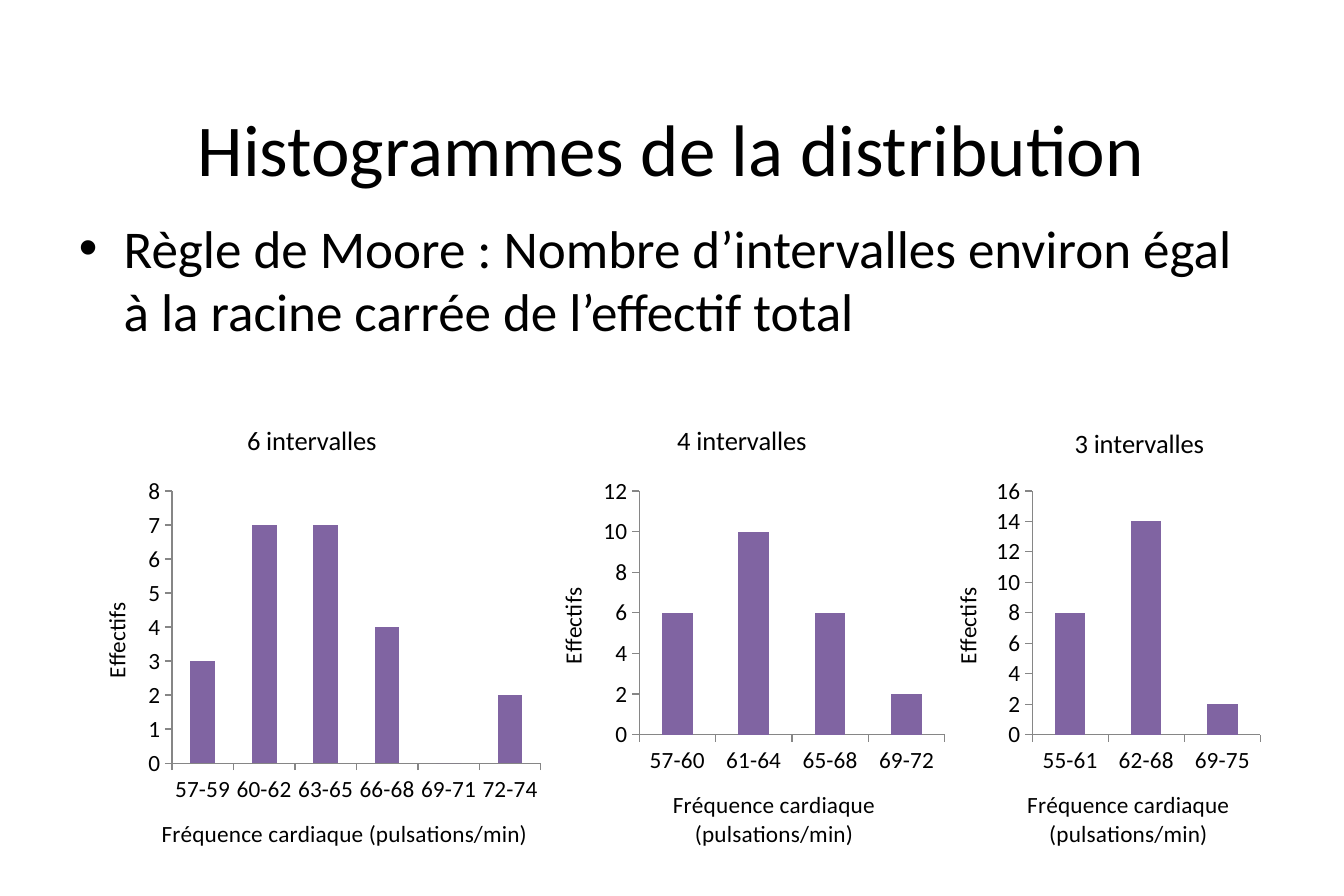
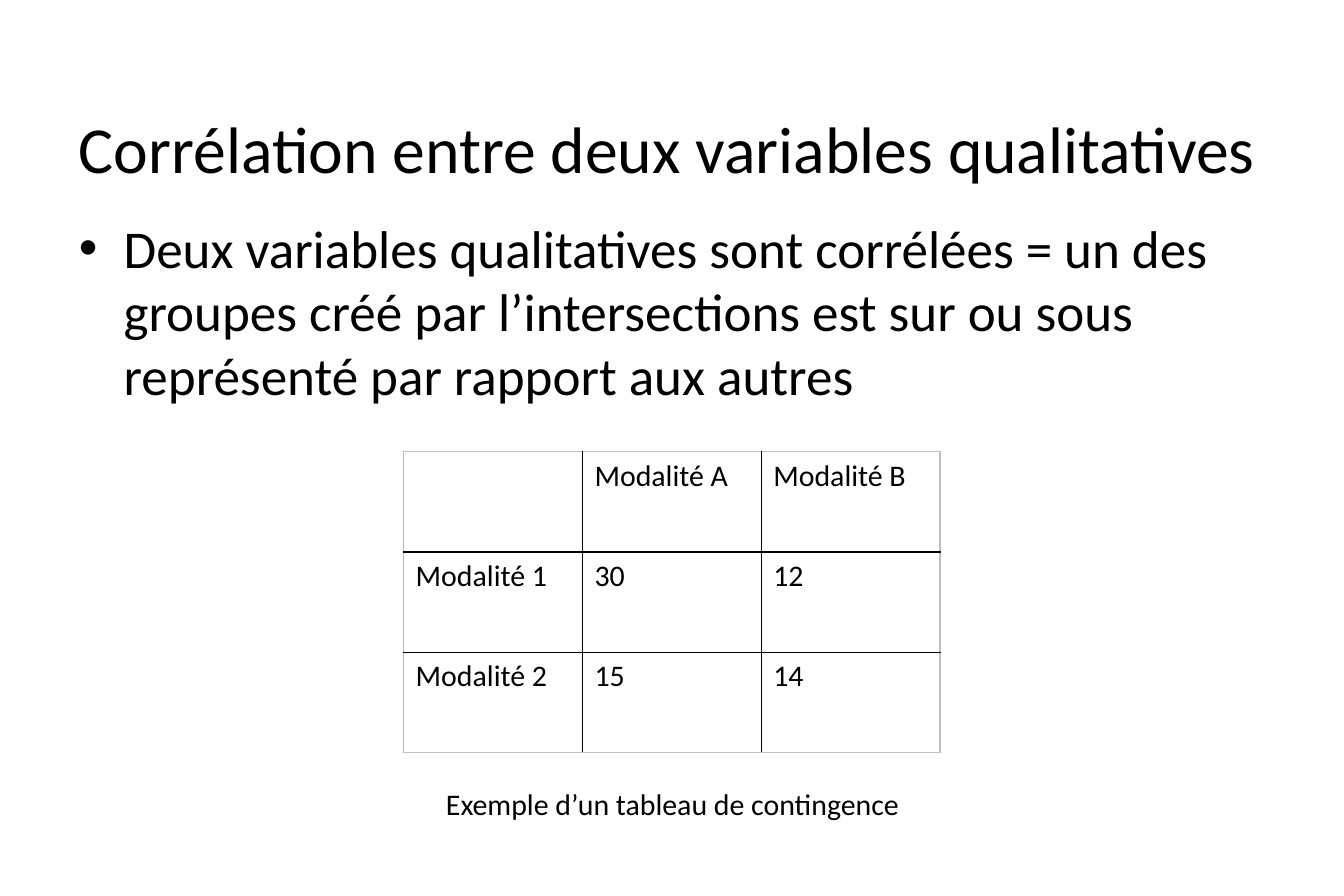
from dataclasses import dataclass

from lxml.etree import SubElement
from pptx import Presentation
from pptx.chart.data import CategoryChartData
from pptx.dml.color import RGBColor
from pptx.enum.chart import XL_CHART_TYPE, XL_TICK_MARK
from pptx.enum.text import MSO_ANCHOR, MSO_AUTO_SIZE, PP_ALIGN
from pptx.oxml import parse_xml
from pptx.oxml.ns import nsdecls, qn
from pptx.util import Inches, Pt


@dataclass(frozen=True)
class Theme:
    font: str = "Calibri"
    text: RGBColor = RGBColor(0x00, 0x00, 0x00)
    bar: RGBColor = RGBColor(0x80, 0x64, 0xA2)
    axis: RGBColor = RGBColor(0x86, 0x86, 0x86)
    grid: str = "000000"
    frame: str = "BFBFBF"
    title: float = 44
    long_title: float = 39.6
    body: float = 32
    small: float = 18
    chart_title: float = 16
    chart: float = 14


THEME = Theme()
TITLE_BOX = (0.56, 0.61, 10.12, 1.25)
BODY_BOX = (0.56, 1.75, 10.12, 4.95)


def place(sp, box):
    sp.left, sp.top, sp.width, sp.height = (Inches(v) for v in box)


def style(font, size):
    font.name = THEME.font
    font.size = Pt(size)
    font.bold = False
    font.color.rgb = THEME.text


def set_text(tf, text, size, align=None):
    tf.text = text
    p = tf.paragraphs[0]
    p.alignment = align
    for r in p.runs:
        style(r.font, size)


def add_slide(prs, title, body, title_box=TITLE_BOX, title_size=THEME.title):
    """Title and one bullet in the template's placeholders."""
    s = prs.slides.add_slide(prs.slide_layouts[1])
    head, content = s.placeholders
    place(head, title_box)
    set_text(head.text_frame, title, title_size, PP_ALIGN.CENTER)
    head.text_frame.vertical_anchor = MSO_ANCHOR.MIDDLE
    place(content, BODY_BOX)
    set_text(content.text_frame, body, THEME.body)
    for sp in (head, content):
        sp.text_frame.auto_size = MSO_AUTO_SIZE.NONE
    return s


def manual_layout(target=None, **values):
    """Chart layout element from fractions of the chart's box."""
    layout = parse_xml(f"<c:layout {nsdecls('c')}/>")
    manual = SubElement(layout, qn("c:manualLayout"))
    if target:
        SubElement(manual, qn("c:layoutTarget")).set("val", target)
    for name in ("x", "y"):
        SubElement(manual, qn(f"c:{name}Mode")).set("val", "edge")
    for name, value in values.items():
        SubElement(manual, qn(f"c:{name}")).set("val", f"{value:.3f}")
    return layout


def set_layout(parent, layout, after=None):
    old = parent.find(qn("c:layout"))
    if old is not None:
        parent.remove(old)
    index = 0 if after is None else parent.index(parent.find(qn(after))) + 1
    parent.insert(index, layout)


def format_axis(axis, title):
    axis.has_major_gridlines = False
    axis.major_tick_mark = XL_TICK_MARK.OUTSIDE
    axis.minor_tick_mark = XL_TICK_MARK.NONE
    axis.format.line.color.rgb = THEME.axis
    style(axis.tick_labels.font, THEME.chart)
    set_text(axis.axis_title.text_frame, title, THEME.chart)


def add_histogram(s, box, counts, top, step, plot_left, plot_height,
                  title_at=None):
    """Column chart of counts per interval, placed in box."""
    data = CategoryChartData()
    data.categories = list(counts)
    data.add_series("Series 1", list(counts.values()))
    chart = s.shapes.add_chart(XL_CHART_TYPE.COLUMN_CLUSTERED,
                               *(Inches(v) for v in box), data).chart
    style(chart.font, THEME.chart)
    chart.has_legend = False

    # Title over the plot
    set_text(chart.chart_title.text_frame, f"{len(counts)} intervalles",
             THEME.chart_title)
    chart.chart_title.include_in_layout = True
    title = chart.element.find(".//" + qn("c:title"))
    if title_at:
        set_layout(title, manual_layout(x=title_at[0], y=title_at[1]), "c:tx")
    overlay = title.find(qn("c:overlay"))
    if overlay is None:
        overlay = SubElement(title, qn("c:overlay"))
    overlay.set("val", "1")

    # Bars and axes
    plot = chart.plots[0]
    plot.gap_width = 150
    plot.vary_by_categories = False
    fill = plot.series[0].format.fill
    fill.solid()
    fill.fore_color.rgb = THEME.bar
    format_axis(chart.category_axis, "Fréquence cardiaque (pulsations/min)")
    format_axis(chart.value_axis, "Effectifs")
    chart.value_axis.minimum_scale = 0
    chart.value_axis.maximum_scale = top
    chart.value_axis.major_unit = step

    # Plot area, with a fixed top and right margin
    width, height = box[2:]
    area = chart.element.find(".//" + qn("c:plotArea"))
    set_layout(area, manual_layout(
        "inner", x=plot_left / width, y=0.75 / height,
        w=(width - plot_left - 0.07) / width, h=plot_height / height))


def set_borders(cell, colors):
    """Borders in the order left, right, top, bottom."""
    tcPr = cell._tc.get_or_add_tcPr()
    for i, (side, color) in enumerate(zip("LRTB", colors)):
        tcPr.insert(i, parse_xml(
            f'<a:ln{side} {nsdecls("a")} w="{Pt(1)}"><a:solidFill>'
            f'<a:srgbClr val="{color}"/></a:solidFill></a:ln{side}>'))


def add_contingency_table(s, box, rows):
    n, m = len(rows), len(rows[0])
    table = s.shapes.add_table(n, m, *(Inches(v) for v in box)).table
    table.first_row = table.horz_banding = False
    for i, row in enumerate(rows):
        for j, text in enumerate(row):
            cell = table.cell(i, j)
            cell.fill.background()
            set_text(cell.text_frame, text, THEME.small)
            outer = (j == 0, j == m - 1, i == 0, i == n - 1)
            set_borders(cell, [THEME.frame if edge else THEME.grid
                               for edge in outer])


def add_caption(s, box, text):
    tf = s.shapes.add_textbox(*(Inches(v) for v in box)).text_frame
    tf.word_wrap = True
    set_text(tf, text, THEME.small, PP_ALIGN.CENTER)


def build_histograms(prs):
    s = add_slide(prs, "Histogrammes de la distribution",
                  "Règle de Moore : Nombre d’intervalles environ égal "
                  "à la racine carrée de l’effectif total")
    top, height = 3.36, 3.97
    add_histogram(s, (7.75, top, 2.87, height),
                  {"55-61": 8, "62-68": 14, "69-75": 2},
                  16, 2, 0.89, 2.04, title_at=(0.42, 0.04))
    add_histogram(s, (4.44, top, 3.54, height),
                  {"57-60": 6, "61-64": 10, "65-68": 6, "69-72": 2},
                  12, 2, 0.91, 2.04)
    add_histogram(s, (0.62, top, 3.98, height),
                  {"57-59": 3, "60-62": 7, "63-65": 7, "66-68": 4,
                   "69-71": 0, "72-74": 2},
                  8, 1, 0.82, 2.28)


def build_correlation(prs):
    s = add_slide(prs, "Corrélation entre deux variables qualitatives",
                  "Deux variables qualitatives sont corrélées = un des "
                  "groupes créé par l’intersections est sur ou sous "
                  "représenté par rapport aux autres",
                  (0.11, 0.61, 10.95, 1.25), THEME.long_title)
    add_contingency_table(s, (3.38, 3.78, 4.49, 2.52), [
        ("", "Modalité A", "Modalité B"),
        ("Modalité 1", "30", "12"),
        ("Modalité 2", "15", "14")])
    add_caption(s, (2.99, 6.53, 5.28, 0.4),
                "Exemple d’un tableau de contingence")


def main():
    prs = Presentation()
    prs.slide_width, prs.slide_height = Inches(11.25), Inches(7.5)
    build_histograms(prs)
    build_correlation(prs)
    prs.save("out.pptx")


if __name__ == "__main__":
    main()
